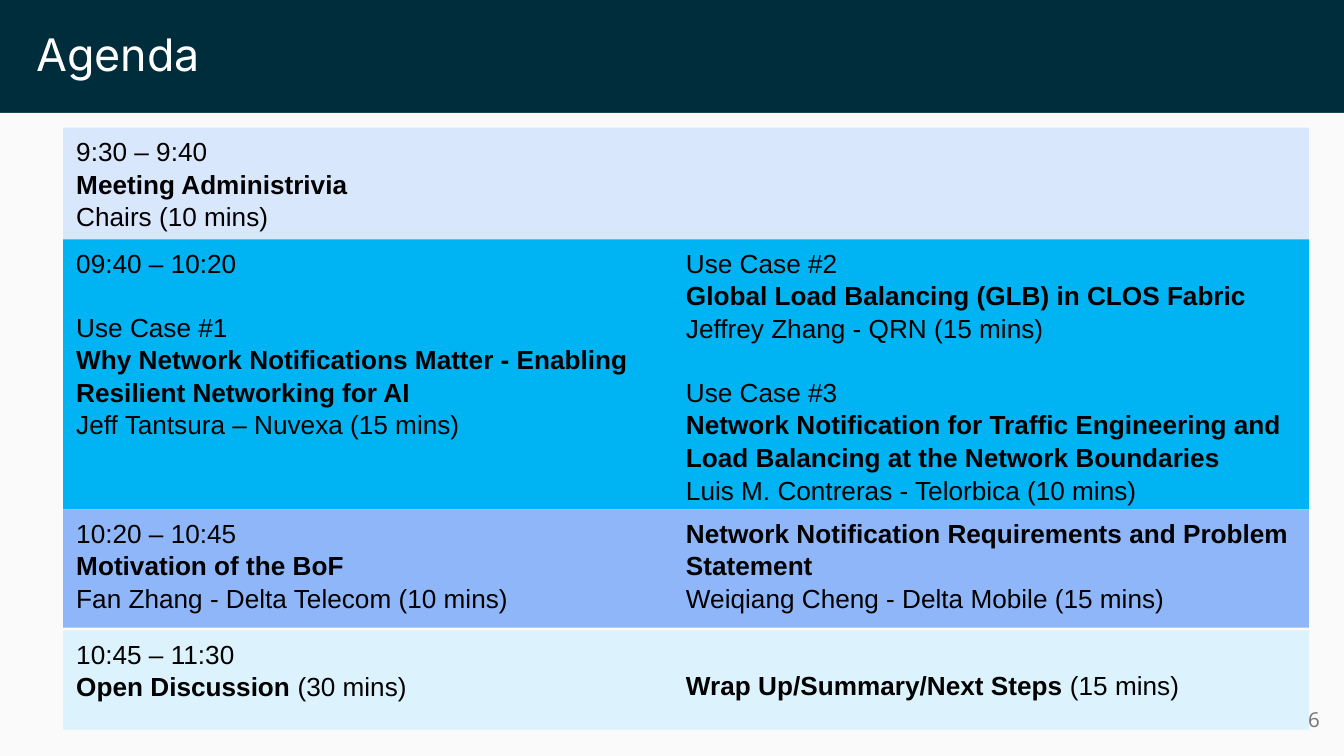
from dataclasses import dataclass

from pptx import Presentation
from pptx.dml.color import RGBColor
from pptx.enum.shapes import MSO_SHAPE
from pptx.enum.text import MSO_ANCHOR, MSO_AUTO_SIZE, PP_ALIGN
from pptx.util import Pt

RECT = MSO_SHAPE.RECTANGLE
TOP, MIDDLE = MSO_ANCHOR.TOP, MSO_ANCHOR.MIDDLE
LEFT, RIGHT = PP_ALIGN.LEFT, PP_ALIGN.RIGHT
NO_FIT = MSO_AUTO_SIZE.NONE


@dataclass(frozen=True)
class Theme:
    back: str = "002D3C"
    panel: str = "FAFAFA"
    white: str = "FFFFFF"
    ink: str = "000000"
    grey: str = "737373"
    head: str = "Inter"
    body: str = "Arial"
    foot: str = "Open Sans"
    head_size: float = 24
    body_size: float = 14
    foot_size: float = 11
    pitch: float = 1.04  # line spacing
    line: float = 16.7  # height of one body line


THEME = Theme()
PAD_X, PAD_Y = 7.2, 3.6

# Each entry is one line: (bold part, plain part)
OPEN = [("", "9:30 – 9:40"), ("Meeting Administrivia", ""),
        ("", "Chairs (10 mins)")]
CASE_1 = [("", "Use Case #1"),
          ("Why Network Notifications Matter - Enabling "
           "Resilient Networking for AI", ""),
          ("", "Jeff Tantsura – Nuvexa (15 mins)")]
CASE_2 = [("", "Use Case #2"),
          ("Global Load Balancing (GLB) in CLOS Fabric", ""),
          ("", "Jeffrey Zhang - QRN (15 mins)")]
CASE_3 = [("", "Use Case #3"),
          ("Network Notification for Traffic Engineering and "
           "Load Balancing at the Network Boundaries", ""),
          ("", "Luis M. Contreras - Telorbica (10 mins)")]
MOTIVE = [("", "10:20 – 10:45"), ("Motivation of the BoF", ""),
          ("", "Fan Zhang - Delta Telecom (10 mins)")]
NEEDS = [("Network Notification Requirements and Problem Statement", ""),
         ("", "Weiqiang Cheng - Delta Mobile (15 mins)")]
TALK = [("", "10:45 – 11:30"), ("Open Discussion", " (30 mins)")]
WRAP = [("Wrap Up/Summary/Next Steps", " (15 mins)")]

# Top, height, fill, left blocks, right blocks, lines skipped on the right
BANDS = [
    (68.4, 74.9, "D9E7FD", [OPEN], [], 0),
    (128.2, 144.7, "00B3F2", [[("", "09:40 – 10:20")], CASE_1],
     [CASE_2, CASE_3], 0),
    (272.9, 63.4, "8EB6F8", [MOTIVE], [NEEDS], 0),
    (337.7, 53.3, "DCF3FD", [TALK], [WRAP], 1),
]


def color(code):
    return RGBColor.from_string(code)


def write(para, text, font=THEME.body, size=THEME.body_size,
          ink=THEME.ink, bold=False):
    run = para.add_run()
    run.text = text
    run.font.name = font
    run.font.size = Pt(size)
    run.font.bold = bold
    run.font.color.rgb = color(ink)


def setup(frame, pad_x, pad_y, anchor):
    frame.word_wrap = True
    frame.auto_size = NO_FIT
    frame.vertical_anchor = anchor
    frame.margin_left = frame.margin_right = Pt(pad_x)
    frame.margin_top = frame.margin_bottom = Pt(pad_y)


def panel(slide, box, fill):
    shape = slide.shapes.add_shape(RECT, *map(Pt, box))
    shape.shadow.inherit = False
    shape.fill.solid()
    shape.fill.fore_color.rgb = color(fill)
    shape.line.fill.background()
    return shape


def fill_text(frame, blocks):
    """Write blocks of lines, with one line of space between blocks."""
    para = None
    for index, block in enumerate(blocks):
        for row, (strong, plain) in enumerate(block):
            para = frame.add_paragraph() if para else frame.paragraphs[0]
            para.alignment = LEFT
            para.line_spacing = THEME.pitch
            if index and not row:
                para.space_before = Pt(THEME.line)
            if strong:
                write(para, strong, bold=True)
            if plain:
                write(para, plain)


def band(slide, box, fill, first, second, skip):
    """One agenda slot: a coloured bar with one or two text columns."""
    left, top, width, height = box
    half = (width - 2 * PAD_X) / 2
    frame = panel(slide, box, fill).text_frame
    setup(frame, PAD_X, PAD_Y, TOP)
    if second:
        frame.margin_right = Pt(PAD_X + half)
        drop = skip * THEME.line
        side = slide.shapes.add_textbox(
            Pt(left + PAD_X + half), Pt(top + drop),
            Pt(half + PAD_X), Pt(height - drop)).text_frame
        setup(side, 0, PAD_Y, TOP)
        side.margin_right = Pt(PAD_X)
        fill_text(side, second)
    fill_text(frame, first)


def header(slide, box):
    title = slide.shapes.title
    title.left, title.top, title.width, title.height = map(Pt, box)
    setup(title.text_frame, 7.2, 7.2, MIDDLE)
    para = title.text_frame.paragraphs[0]
    para.alignment = LEFT
    write(para, "Agenda", font=THEME.head, size=THEME.head_size,
          ink=THEME.white)


def number(slide, box):
    frame = slide.shapes.add_textbox(*map(Pt, box)).text_frame
    setup(frame, 7.2, 7.2, MIDDLE)
    para = frame.paragraphs[0]
    para.alignment = RIGHT
    write(para, "6", font=THEME.foot, size=THEME.foot_size, ink=THEME.grey)


def agenda(deck):
    slide = deck.slides.add_slide(deck.slide_layouts[5])
    slide.background.fill.solid()
    slide.background.fill.fore_color.rgb = color(THEME.back)
    # Light body below the dark header
    panel(slide, (0, 60.5, 720, 344.5), THEME.panel)
    header(slide, (12.2, 5, 694.8, 47.5))
    number(slide, (687.6, 372.2, 26.6, 26.6))
    # Agenda slots
    for top, height, *rest in BANDS:
        band(slide, (33.8, top, 667.4, height), *rest)


def main():
    deck = Presentation()
    deck.slide_width, deck.slide_height = Pt(720), Pt(405)
    agenda(deck)
    deck.save("out.pptx")


if __name__ == "__main__":
    main()
